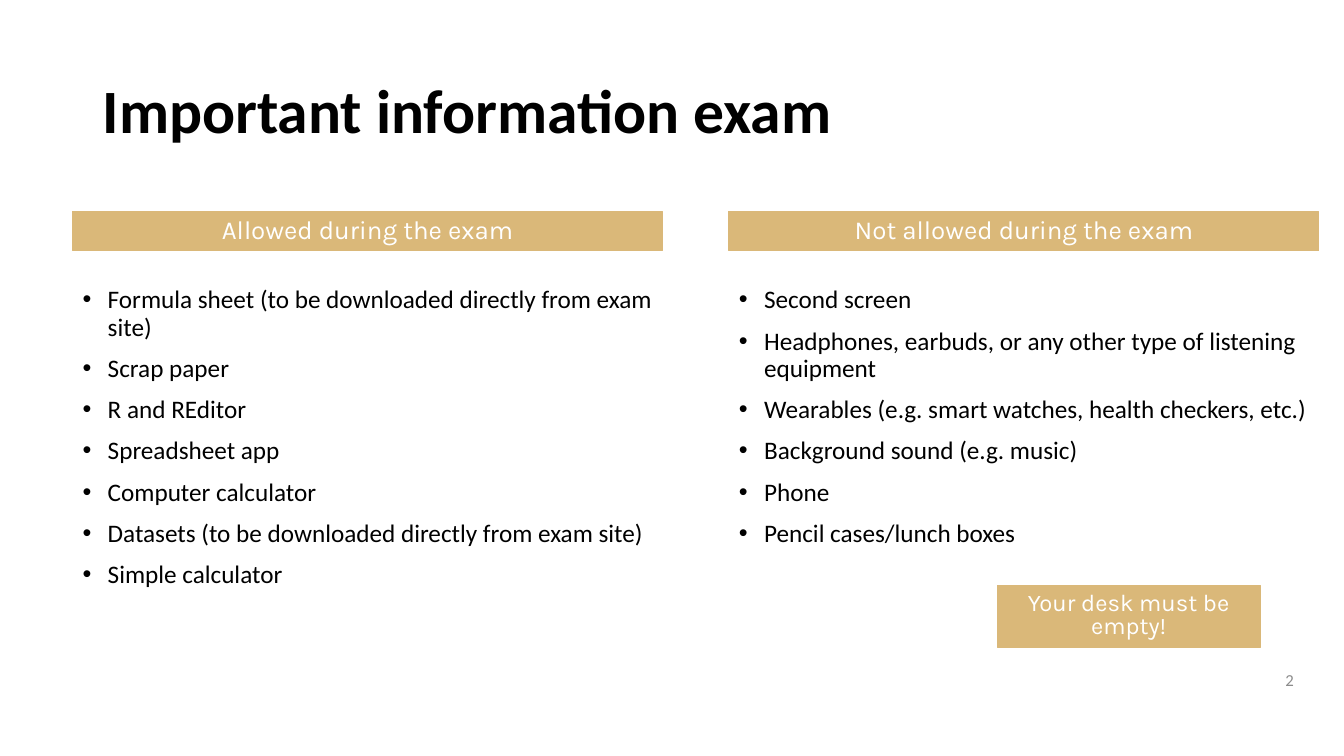
from lxml.etree import SubElement
from pptx import Presentation
from pptx.dml.color import RGBColor
from pptx.enum.shapes import MSO_SHAPE
from pptx.enum.text import MSO_ANCHOR, PP_ALIGN
from pptx.oxml.ns import qn
from pptx.util import Pt

PX = 9144  # EMU per px, 100 px to the inch
BLACK = RGBColor(0x00, 0x00, 0x00)
WHITE = RGBColor(0xFF, 0xFF, 0xFF)
GOLD = RGBColor(0xDA, 0xB8, 0x79)
GREY = RGBColor(0x8C, 0x8C, 0x8C)

ALLOWED = [
    "Formula sheet (to be downloaded directly from the exam site)",
    "Scrap paper",
    "R and REditor",
    "Spreadsheet app",
    "Computer calculator",
    "Datasets (to be downloaded directly from exam site)",
    "Simple calculator",
]
NOT_ALLOWED = [
    "Second screen",
    "Headphones, earbuds, or any other type of listening equipment",
    "Wearables (e.g. smart watches, health checkers, etc.)",
    "Background sound (e.g. music)",
    "Phone",
    "Pencil cases/lunch boxes",
]
ALLOWED[0] = ALLOWED[0].replace("the exam site", "exam site")


def to_emu(*lengths):
    return [length * PX for length in lengths]


def style(paragraph, size, color, font="Calibri", bold=False, align=PP_ALIGN.LEFT):
    paragraph.alignment = align
    paragraph.font.size = Pt(size)
    paragraph.font.name = font
    paragraph.font.bold = bold
    paragraph.font.color.rgb = color


def add_text(slide, box, text, size, color, **look):
    """Add one vertically centred paragraph."""
    frame = slide.shapes.add_textbox(*to_emu(*box)).text_frame
    frame.word_wrap = True
    frame.vertical_anchor = MSO_ANCHOR.MIDDLE
    paragraph = frame.paragraphs[0]
    paragraph.text = text
    paragraph.line_spacing = 0.9
    style(paragraph, size, color, **look)


def add_banner(slide, box, text, size, line_spacing=0.9):
    banner = slide.shapes.add_shape(MSO_SHAPE.RECTANGLE, *to_emu(*box))
    banner.shadow.inherit = False
    banner.fill.solid()
    banner.fill.fore_color.rgb = GOLD
    banner.line.color.rgb = GOLD
    banner.line.width = Pt(0.75)
    frame = banner.text_frame
    frame.word_wrap = True
    frame.vertical_anchor = MSO_ANCHOR.MIDDLE
    paragraph = frame.paragraphs[0]
    paragraph.text = text
    paragraph.line_spacing = line_spacing
    style(paragraph, size, WHITE, font="Karla", align=PP_ALIGN.CENTER)


def add_bullets(slide, box, items):
    frame = slide.shapes.add_textbox(*to_emu(*box)).text_frame
    frame.word_wrap = True
    for index, item in enumerate(items):
        paragraph = frame.add_paragraph() if index else frame.paragraphs[0]
        paragraph.text = item
        paragraph.line_spacing = 0.9
        paragraph.space_before = Pt(10 if index else 0)
        style(paragraph, 18, BLACK)
        properties = paragraph._p.get_or_add_pPr()
        properties.set("marL", str(25 * PX))
        properties.set("indent", str(-25 * PX))
        bullet_font = SubElement(properties, qn("a:buFont"), typeface="Arial")
        bullet_font.addnext(SubElement(properties, qn("a:buChar"), char="•"))
        # Bullet elements must precede the default run properties
        properties.append(properties.find(qn("a:defRPr")))


def add_column(slide, box, heading, items):
    left, top, width, height = box
    list_offset = 70
    add_banner(slide, (left, top, width, 39), heading, 18.5)
    add_bullets(slide, (left, top + list_offset, width, height - list_offset), items)


def build_exam_slide(presentation):
    slide = presentation.slides.add_slide(presentation.slide_layouts[6])
    add_text(slide, (92, 40, 1150, 145), "Important information exam", 44, BLACK, bold=True)
    add_column(slide, (72, 210, 585, 443), "Allowed during the exam", ALLOWED)
    add_column(slide, (723, 210, 585, 443), "Not allowed during the exam", NOT_ALLOWED)
    add_banner(slide, (989, 581, 261, 61), "Your desk must be empty!", 17, line_spacing=0.8)
    add_text(slide, (1251, 656, 42, 40), "2", 12, GREY, align=PP_ALIGN.RIGHT)


def main():
    presentation = Presentation()
    presentation.slide_width, presentation.slide_height = to_emu(1333, 750)
    build_exam_slide(presentation)
    presentation.save("out.pptx")


if __name__ == "__main__":
    main()
